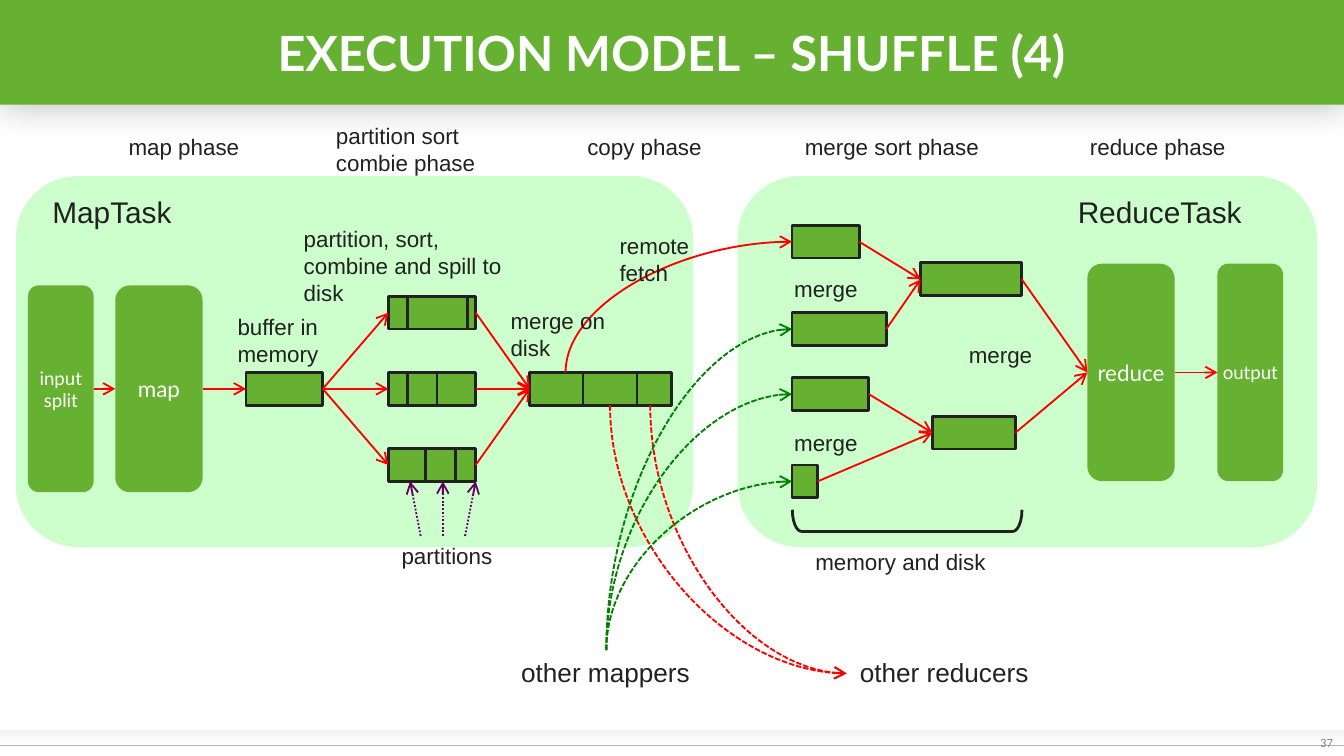
from dataclasses import dataclass
from typing import Optional

import pptx
import pptx.dml.color
import pptx.enum.dml
import pptx.enum.shapes
import pptx.enum.text
import pptx.oxml.ns
import pptx.util
from lxml import etree

Cm = pptx.util.Cm
Pt = pptx.util.Pt
qn = pptx.oxml.ns.qn
RGBColor = pptx.dml.color.RGBColor
SHAPES = pptx.enum.shapes.MSO_SHAPE
CONNECTORS = pptx.enum.shapes.MSO_CONNECTOR
DASHES = pptx.enum.dml.MSO_LINE
ALIGN = pptx.enum.text.PP_ALIGN
ANCHOR = pptx.enum.text.MSO_ANCHOR
AUTO_SIZE = pptx.enum.text.MSO_AUTO_SIZE

GREEN = RGBColor(0x66, 0xB1, 0x32)
PALE_GREEN = RGBColor(0xCC, 0xFF, 0xCC)
DARK_GREEN = RGBColor(0x00, 0x80, 0x00)
RED = RGBColor(0xFF, 0x00, 0x00)
PURPLE = RGBColor(0x66, 0x00, 0x66)
INK = RGBColor(0x21, 0x21, 0x21)
WHITE = RGBColor(0xFF, 0xFF, 0xFF)
GRAY = RGBColor(0x80, 0x80, 0x80)
LIGHT_GRAY = RGBColor(0xB3, 0xB3, 0xB3)

SLIDE_WIDTH, SLIDE_HEIGHT = 25.4, 14.29
MAP_ROW, REDUCE_ROW = 7.35, 7.04
SPILL_STEP = 1.44


@dataclass(frozen=True)
class Box:
    left: float
    middle: float
    width: float
    height: float = 0.62
    text: str = ""
    size: int = 12

    @property
    def right(self) -> float:
        return self.left + self.width

    @property
    def top(self) -> float:
        return self.middle - self.height / 2

    @property
    def bottom(self) -> float:
        return self.middle + self.height / 2


@dataclass(frozen=True)
class Label:
    text: str
    left: float
    top: float
    width: float
    height: float = 0.76
    size: int = 12


INPUT = Box(0.53, MAP_ROW, 1.24, 3.91, "input split", 10)
MAP = Box(2.18, MAP_ROW, 1.65, 3.91, "map")
REDUCE = Box(20.55, REDUCE_ROW, 1.65, 4.11, "reduce")
OUTPUT = Box(23.01, REDUCE_ROW, 1.24, 4.11, "output", 10)
BUFFER = Box(4.65, MAP_ROW, 1.45)
SPILLS = [Box(7.34, MAP_ROW + step * SPILL_STEP, 1.65) for step in (-1, 0, 1)]
SPILL_CENTERS = [(7.7, 1.14), (7.7, 0.56), (8.05, 0.56)]
MERGED = Box(10.01, MAP_ROW, 2.69)
RUNS = [Box(14.97, 4.57, 1.27), Box(14.97, 6.22, 1.78),
        Box(14.97, 7.45, 1.45), Box(14.97, 9.1, 0.48)]
MERGES = [Box(17.4, 5.28, 1.91), Box(17.62, 8.18, 1.57)]

LINKS = [(INPUT, MAP), (MAP, BUFFER), (REDUCE, OUTPUT)]
LINKS += [(BUFFER, spill) for spill in SPILLS]
LINKS += [(spill, MERGED) for spill in SPILLS]
LINKS += [(run, MERGES[index // 2]) for index, run in enumerate(RUNS)]
LINKS += [(merge, REDUCE) for merge in MERGES]

LABELS = [
    Label("map phase", 2.18, 2.39, 2.9),
    Label("partition sort combie phase", 6.1, 2.18, 3.3, 1.27),
    Label("copy phase", 10.85, 2.39, 2.9),
    Label("merge sort phase", 14.96, 2.39, 4.34),
    Label("reduce phase", 20.35, 2.39, 3.51),
    Label("MapTask", 0.74, 3.53, 3.1, 0.94, 16),
    Label("ReduceTask", 20.12, 3.53, 4.34, 0.94, 16),
    Label("buffer in memory", 4.24, 5.79, 2.26, 1.27),
    Label("partition, sort, combine and spill to disk", 5.49, 4.14, 4.34, 1.8),
    Label("partitions", 7.34, 10.13, 2.46),
    Label("merge on disk", 9.4, 5.69, 2.46, 1.27),
    Label("remote fetch", 11.46, 4.27, 2.06, 1.27),
    Label("merge", 14.76, 5.08, 2.06),
    Label("merge", 14.76, 7.98, 2.06),
    Label("merge", 18.06, 6.32, 2.06),
    Label("memory and disk", 15.16, 10.24, 3.91),
    Label("other mappers", 9.6, 12.29, 3.71, 0.86, 14),
    Label("other reducers", 16, 12.29, 3.71, 0.86, 14),
]


def write(shape, text: str, size: int, font: str, color: RGBColor, align=ALIGN.LEFT, bold=False) -> None:
    frame = shape.text_frame
    frame.text = text
    frame.word_wrap = True
    paragraph = frame.paragraphs[0]
    paragraph.alignment = align
    style = paragraph.runs[0].font
    style.name, style.size, style.bold = font, Pt(size), bold
    style.color.rgb = color


def set_insets(shape, vertical: float) -> None:
    frame = shape.text_frame
    frame.margin_left = frame.margin_right = 0
    frame.margin_top = frame.margin_bottom = Cm(vertical)
    frame.vertical_anchor = ANCHOR.MIDDLE


def add_filled(slide, kind, left: float, top: float, width: float, height: float, color: Optional[RGBColor]):
    shape = slide.shapes.add_shape(kind, Cm(left), Cm(top), Cm(width), Cm(height))
    shape.shadow.inherit = False
    shape.line.fill.background()
    if color is None:
        shape.fill.background()
    else:
        shape.fill.solid()
        shape.fill.fore_color.rgb = color
    return shape


def outline(shape) -> None:
    shape.line.color.rgb = INK
    shape.line.width = Pt(1.5)


def add_block(slide, box: Box) -> None:
    outline(add_filled(slide, SHAPES.RECTANGLE, box.left, box.top, box.width, box.height, GREEN))


def add_task(slide, box: Box) -> None:
    shape = add_filled(slide, SHAPES.ROUNDED_RECTANGLE, box.left, box.top, box.width, box.height, GREEN)
    write(shape, box.text, box.size, "Lato", WHITE, ALIGN.CENTER)
    set_insets(shape, 0.13)


def add_line(slide, x1: float, y1: float, x2: float, y2: float, color: RGBColor,
             dash=None, kind=CONNECTORS.STRAIGHT, width: float = 1, arrow: bool = True):
    connector = slide.shapes.add_connector(kind, Cm(x1), Cm(y1), Cm(x2), Cm(y2))
    connector.line.color.rgb = color
    connector.line.width = Pt(width)
    if dash is not None:
        connector.line.dash_style = dash
    properties = connector.element.spPr
    if arrow:
        etree.SubElement(properties.find(qn("a:ln")), qn("a:tailEnd"), type="arrow")
    etree.SubElement(properties, qn("a:effectLst"))
    return connector


def add_curve(slide, x1: float, y1: float, x2: float, y2: float, color: RGBColor, dash=None) -> None:
    center_x, center_y = (x1 + x2) / 2, (y1 + y2) / 2
    half_width, half_height = abs(y2 - y1) / 2, abs(x2 - x1) / 2
    direction, turn = (1, 270) if y2 > y1 else (-1, 90)
    connector = add_line(slide, center_x + half_width, center_y - direction * half_height,
                         center_x - half_width, center_y + direction * half_height,
                         color, dash, CONNECTORS.CURVE)
    properties = connector.element.spPr
    properties.find(qn("a:xfrm")).set("rot", str(turn * 60000))
    properties.find(qn("a:prstGeom")).set("prst", "curvedConnector2")


def add_label(slide, label: Label) -> None:
    shape = slide.shapes.add_textbox(Cm(label.left), Cm(label.top), Cm(label.width), Cm(label.height))
    write(shape, label.text, label.size, "Arial", INK)
    shape.text_frame.auto_size = AUTO_SIZE.SHAPE_TO_FIT_TEXT


def add_title(slide) -> None:
    title = slide.shapes.title
    title.left, title.top, title.width, title.height = 0, 0, Cm(SLIDE_WIDTH), Cm(1.98)
    title.fill.solid()
    title.fill.fore_color.rgb = GREEN
    write(title, "EXECUTION MODEL – SHUFFLE (4)", 26, "Lato", WHITE, ALIGN.CENTER, True)
    set_insets(title, 0)
    title.text_frame.auto_size = AUTO_SIZE.NONE
    effects = etree.SubElement(title.element.spPr, qn("a:effectLst"))
    shadow = etree.SubElement(effects, qn("a:outerShdw"), blurRad=str(Pt(20)), dist="0", dir="0")
    color = etree.SubElement(shadow, qn("a:srgbClr"), val="000000")
    etree.SubElement(color, qn("a:alpha"), val="28000")


def add_footer(slide) -> None:
    band = add_filled(slide, SHAPES.RECTANGLE, 0, 13.81, SLIDE_WIDTH, 0.48, WHITE)
    band.fill.gradient()
    band.fill.gradient_angle = 270
    for stop, position, color in zip(band.fill.gradient_stops, (0, 0.67), (LIGHT_GRAY, WHITE)):
        stop.position, stop.color.rgb = position, color
    for color, alpha in zip(band.element.spPr.find(qn("a:gradFill")).iter(qn("a:srgbClr")), ("20000", "0")):
        etree.SubElement(color, qn("a:alpha"), val=alpha)
    add_line(slide, 0, 14.09, SLIDE_WIDTH, 14.09, LIGHT_GRAY, width=0.5, arrow=False)
    number = slide.shapes.add_textbox(Cm(24.77), Cm(13.81), Cm(0.61), Cm(0.48))
    write(number, "37", 6, "Lato", GRAY, ALIGN.CENTER)
    set_insets(number, 0)


def main() -> None:
    presentation = pptx.Presentation()
    presentation.slide_width, presentation.slide_height = Cm(SLIDE_WIDTH), Cm(SLIDE_HEIGHT)
    slide = presentation.slides.add_slide(presentation.slide_layouts[5])
    add_footer(slide)
    for left, width in ((13.94, 10.95), (0.3, 12.8)):
        add_filled(slide, SHAPES.ROUNDED_RECTANGLE, left, 3.33, width, 7.01, PALE_GREEN)
    add_title(slide)
    for task in (INPUT, MAP, REDUCE, OUTPUT):
        add_task(slide, task)
    for block in (BUFFER, *SPILLS, MERGED, *RUNS, *MERGES):
        add_block(slide, block)
    for spill, (left, width) in zip(SPILLS, SPILL_CENTERS):
        add_block(slide, Box(left, spill.middle, width))
    add_block(slide, Box(11.02, MAP_ROW, 1.02))
    for source, target in LINKS:
        add_line(slide, source.right, source.middle, target.left, target.middle, RED)
    for start, end in ((7.95, 7.75), (8.37, 8.37), (8.79, 8.99)):
        add_line(slide, start, 10.13, end, SPILLS[-1].bottom, PURPLE, DASHES.ROUND_DOT)
    for start in (11.53, 12.29):
        add_curve(slide, start, MERGED.bottom, 16, 12.73, RED, DASHES.SQUARE_DOT)
    for run in RUNS[1:]:
        add_curve(slide, 11.46, 12.29, run.left, run.middle, DARK_GREEN, DASHES.SQUARE_DOT)
    add_curve(slide, 10.69, MERGED.top, RUNS[0].left, RUNS[0].middle, RED)
    bracket = add_filled(slide, SHAPES.LEFT_BRACKET, 16.94, 7.67, 0.41, 4.34, None)
    bracket.adjustments[0] = 0.425
    bracket.rotation = 270
    outline(bracket)
    for label in LABELS:
        add_label(slide, label)
    presentation.save("out.pptx")


if __name__ == "__main__":
    main()
